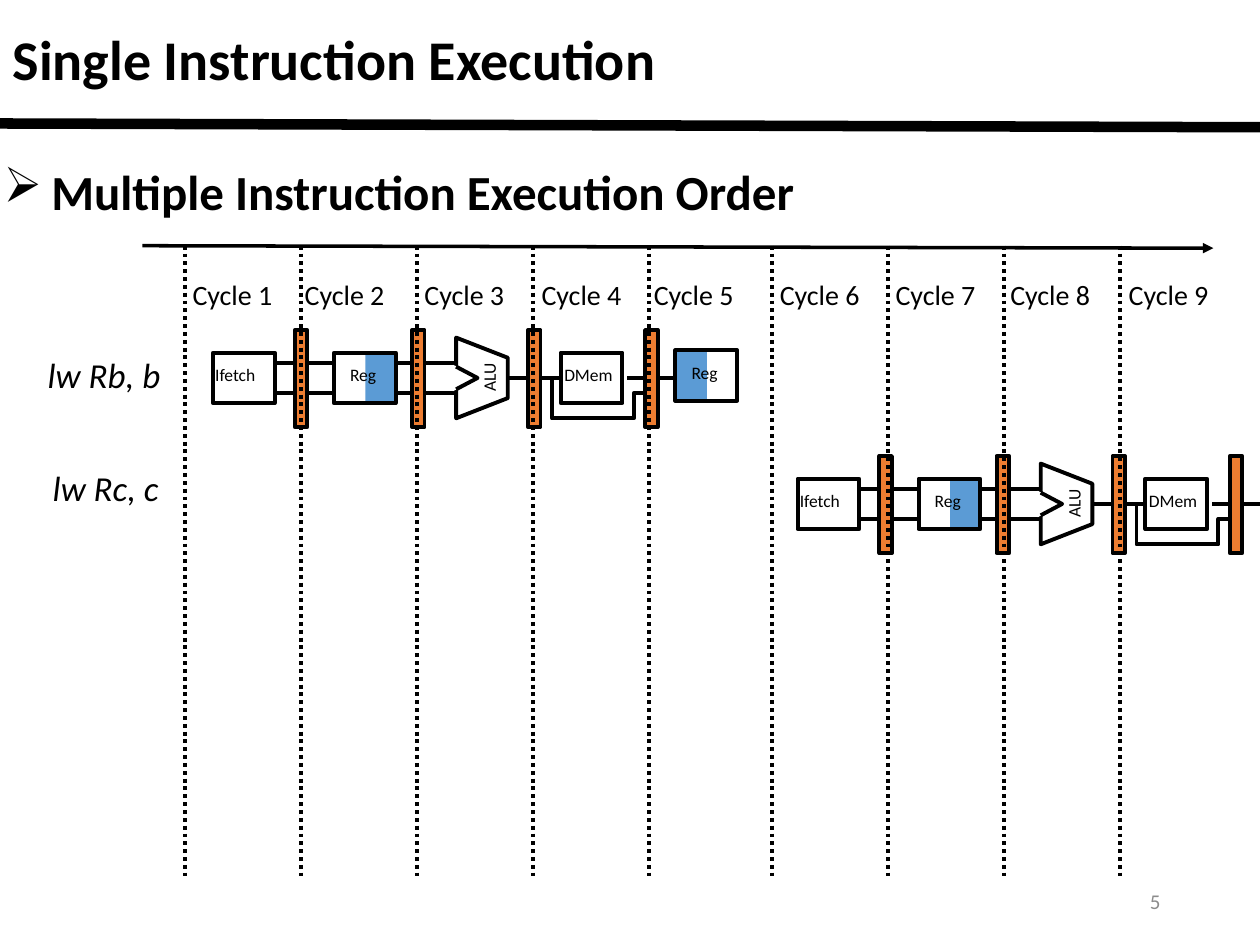
import pptx
import pptx.util
import pptx.dml.color
import pptx.enum.dml
import pptx.enum.shapes
import pptx.enum.text
from lxml import etree

Inches = pptx.util.Inches
Pt = pptx.util.Pt
RGBColor = pptx.dml.color.RGBColor
Shape = pptx.enum.shapes.MSO_SHAPE
Anchor = pptx.enum.text.MSO_ANCHOR
Align = pptx.enum.text.PP_ALIGN
Fit = pptx.enum.text.MSO_AUTO_SIZE
Dash = pptx.enum.dml.MSO_LINE

BLACK = RGBColor(0x00, 0x00, 0x00)
WHITE = RGBColor(0xFF, 0xFF, 0xFF)
GREY = RGBColor(0x8C, 0x8C, 0x8C)
BLUE = RGBColor(0x5B, 0x9B, 0xD5)
ORANGE = RGBColor(0xED, 0x7D, 0x31)
NS = "http://schemas.openxmlformats.org/drawingml/2006/main"


class Draw:
    font = "Calibri"
    width = 2.25

    def __init__(self, deck):
        self.slide = deck.slides.add_slide(deck.slide_layouts[5])
        self.host = self.slide.shapes

    def group(self):
        self.host = self.slide.shapes.add_group_shape().shapes

    def ungroup(self):
        self.host = self.slide.shapes

    def label(self, box, text, size, color=BLACK, wrap=False, fit=Fit.SHAPE_TO_FIT_TEXT,
              anchor=Anchor.MIDDLE, align=Align.LEFT, **style):
        frame = box.text_frame
        frame.text = text
        para = frame.paragraphs[0]
        para.alignment = align
        look = {"word_wrap": wrap, "auto_size": fit, "vertical_anchor": anchor}
        for key, value in look.items():
            setattr(frame, key, value)
        face = {"name": self.font, "size": Pt(size), **style}
        for key, value in face.items():
            setattr(para.runs[0].font, key, value)
        para.runs[0].font.color.rgb = color
        return para

    def title(self, text, at):
        box = self.slide.shapes.title
        for key, value in zip(("left", "top", "width", "height"), at):
            setattr(box, key, Inches(value))
        para = self.label(box, text, 32, wrap=True, fit=Fit.NONE, bold=True)
        para.line_spacing = 0.9

    def text(self, text, at, size, turn=0, **style):
        box = self.host.add_textbox(*map(Inches, at))
        box.rotation = turn
        return self.label(box, text, size, **style)

    def indent(self, para, left, first=0, bullet=None):
        prop = para._p.get_or_add_pPr()
        prop.set("marL", str(Inches(left)))
        prop.set("indent", str(Inches(first)))
        if bullet:
            etree.SubElement(prop, f"{{{NS}}}buChar").set("char", bullet)

    def paint(self, shape, fill, edge):
        shape.shadow.inherit = False
        if fill is None:
            shape.fill.background()
        else:
            shape.fill.solid()
            shape.fill.fore_color.rgb = fill
        if edge:
            shape.line.color.rgb = BLACK
            shape.line.width = Pt(self.width)
        else:
            shape.line.fill.background()

    def shape(self, at, fill=None, edge=True, kind=Shape.RECTANGLE, turn=0):
        item = self.host.add_shape(kind, *map(Inches, at))
        item.rotation = turn
        self.paint(item, fill, edge)

    def trace(self, points, fill=None, close=False):
        first, *rest = [(Inches(x), Inches(y)) for x, y in points]
        pen = self.host.build_freeform(*first)
        pen.add_line_segments(rest, close=close)
        self.paint(pen.convert_to_shape(), fill, True)

    def line(self, x1, y1, x2, y2, width=None, dash=None, arrow=False):
        item = self.host.add_connector(pptx.enum.shapes.MSO_CONNECTOR.STRAIGHT,
                                       *map(Inches, (x1, y1, x2, y2)))
        item.line.color.rgb = BLACK
        item.line.width = Pt(width or self.width)
        if dash:
            item.line.dash_style = dash
        if arrow:
            edge = item.line._get_or_add_ln()
            etree.SubElement(edge, f"{{{NS}}}tailEnd").set("type", "triangle")
        etree.SubElement(item._element.spPr, f"{{{NS}}}effectLst")


def reg(pen, x, y, blue):
    """Register file; blue is the left edge of the half in use."""
    pen.shape((blue, y, 0.25, 0.4), BLUE, edge=False)
    pen.shape((x, y, 0.49, 0.4))
    pen.text("Reg", (x + 0.03, y + 0.04, 0.44, 0.27), 10)


def row(pen, x, y, last):
    """One instruction: x is the left of its first stage, y its middle."""
    pen.group()
    # Register read and its wires
    reg(pen, x + 0.96, y - 0.2, x + 1.21)
    for dy in (-0.12, 0.12):
        pen.line(x + 1.46, y + dy, x + 2, y + dy)
    # ALU with its notch
    left, right = x + 1.93, x + 2.34
    pen.trace([(left, y + 0.32), (right, y + 0.16), (right, y - 0.16),
               (left, y - 0.32)], WHITE, close=True)
    pen.shape((x + 1.91, y - 0.11, 0.21, 0.22), WHITE, edge=False,
              kind=Shape.ISOSCELES_TRIANGLE, turn=90)
    pen.trace([(left, y - 0.09), (left + 0.17, y), (left, y + 0.09)])
    pen.text("ALU", (x + 1.95, y - 0.17, 0.48, 0.27), 10, turn=270)
    # Data memory and its bypass
    for start in (2.35, 3.29):
        pen.line(x + start, y, x + start + 0.54, y)
    pen.shape((x + 2.76, y - 0.2, 0.49, 0.4), WHITE)
    pen.text("DMem", (x + 2.69, y - 0.16, 0.61, 0.27), 10)
    low = y + 0.32
    pen.trace([(x + 2.69, y), (x + 2.69, low), (x + 3.34, low),
               (x + 3.34, y + 0.12), (x + 3.43, y + 0.12)])
    # Instruction fetch
    pen.line(x + 0.45, y + 0.12, x + 0.96, y + 0.12)
    pen.line(x + 0.38, y - 0.12, x + 0.96, y - 0.12)
    pen.shape((x, y - 0.2, 0.49, 0.4), WHITE)
    pen.text("Ifetch", (x - 0.08, y - 0.16, 0.64, 0.27), 10)
    # Pipeline registers
    for dx in (0.65, 1.58, 2.5, 3.43):
        pen.shape((x + dx, y - 0.38, 0.1, 0.77), ORANGE)
    # Register write
    if last:
        reg(pen, x + 3.67, y - 0.22, x + 3.67)
    pen.ungroup()


def main():
    deck = pptx.Presentation()
    deck.slide_width, deck.slide_height = Inches(10), Inches(7.5)
    pen = Draw(deck)

    # Heading
    pen.title("Single Instruction Execution", (0, 0.01, 8.62, 0.97))
    pen.line(0, 0.98, 10, 1.01, width=6)
    para = pen.text("Multiple Instruction Execution Order", (-0.07, 1.23, 10.07, 0.94),
                    28, wrap=True, anchor=Anchor.TOP, bold=True)
    pen.indent(para, 0.38, -0.38, "➢")
    pen.text("5", (7.06, 6.95, 2.25, 0.4), 12, color=GREY, wrap=True,
             fit=Fit.NONE, align=Align.RIGHT)

    # Time axis and instructions
    pen.line(1.13, 1.95, 9.63, 1.97, width=2, arrow=True)
    row(pen, 1.69, 3, last=True)
    row(pen, 6.33, 4, last=False)

    # Cycle marks: the second run starts at cycle 6
    for start, count in ((1.47, 5), (6.13, 4)):
        for i in range(count):
            x = start + 0.92 * i
            pen.line(x, 1.95, x, 6.95, dash=Dash.ROUND_DOT)
    lefts = (1.43, 2.32, 3.27, 4.2, 5.09, 6.09, 7.01, 7.92, 8.86)
    for num, x in enumerate(lefts, 1):
        wide = 0.99 if num < 8 else 0.84
        pen.text(f"Cycle {num}", (x, 2.15, wide, 0.37), 16)

    # Instruction names
    for name, x, y in (("lw Rb, b", -0.22, 2.76), ("lw Rc, c", -0.18, 3.65)):
        para = pen.text(name, (x, y, 1.61, 0.44), 20, anchor=Anchor.TOP, italic=True)
        para.level = 1
        pen.indent(para, 0.5)

    deck.save("out.pptx")


if __name__ == "__main__":
    main()
